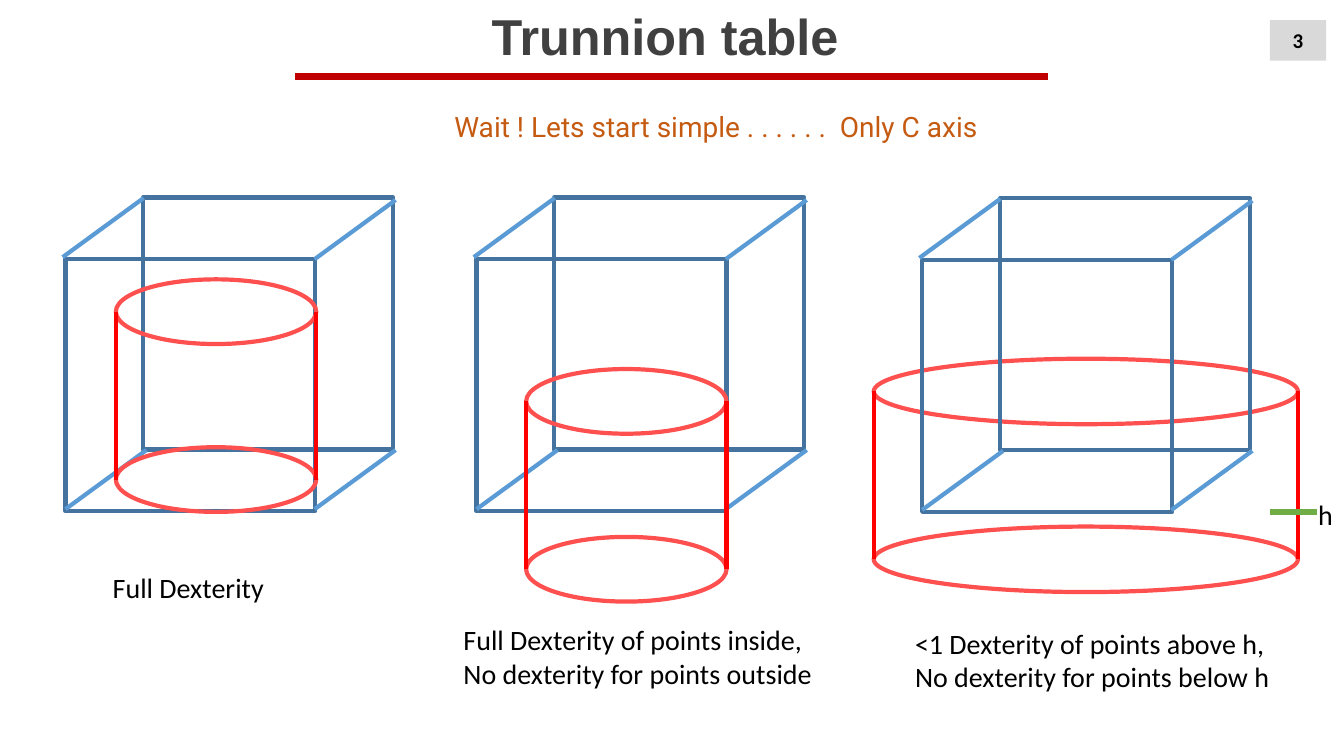
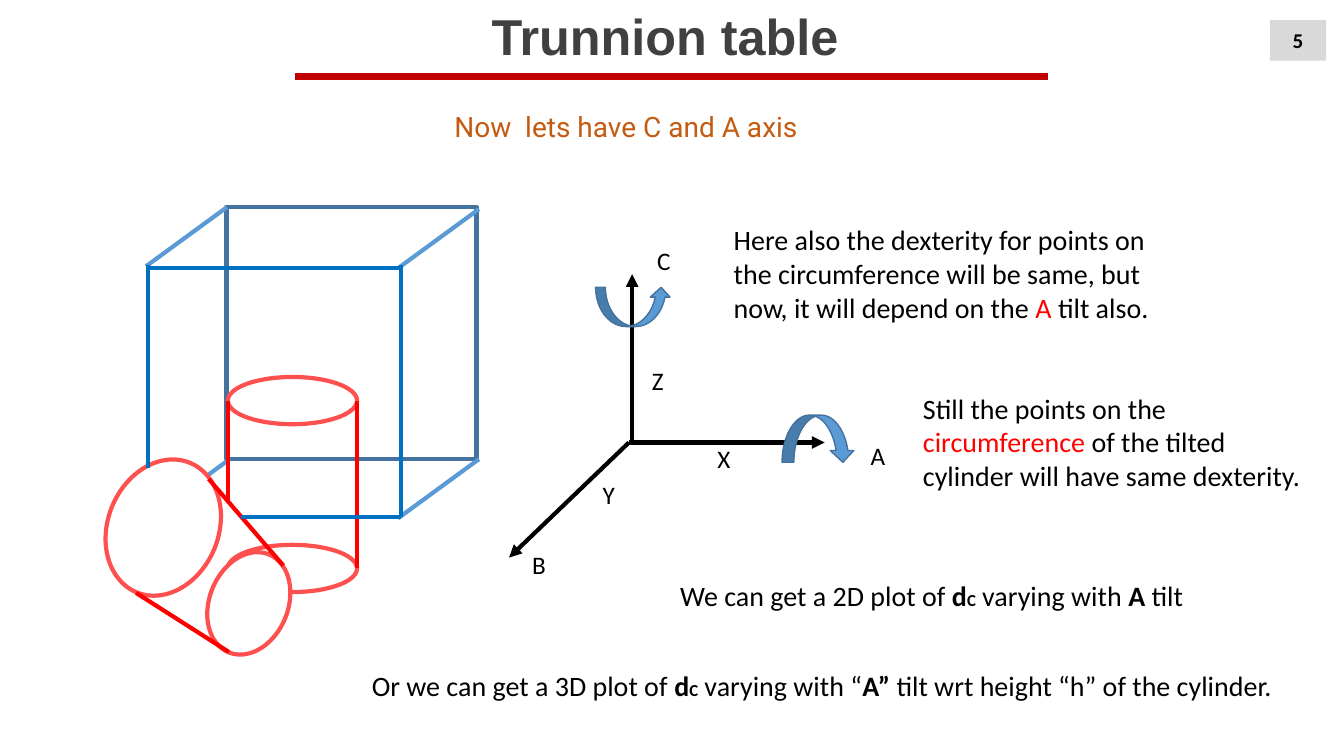
from pptx import Presentation
from pptx.dml.color import RGBColor
from pptx.enum.shapes import MSO_CONNECTOR, MSO_SHAPE as Preset
from pptx.enum.text import MSO_ANCHOR as Anchor, MSO_AUTO_SIZE as AutoSize, PP_ALIGN as Align
from pptx.oxml.ns import qn
from pptx.util import Cm, Pt
from lxml.etree import SubElement

COLORS = {
    "title": "404040", "rule": "C00000", "number": "D9D9D9", "subtitle": "C55A11",
    "box": "43739E", "depth": "5B9BD5", "front": "0070C0", "cap": "FF5050",
    "red": "FF0000", "height": "70AD47", "black": "000000", "white": "FFFFFF",
}
RGB = {role: RGBColor.from_string(value) for role, value in COLORS.items()}


def draw_line(slide, start, end, color, width=3, arrow=False):
    points = [Cm(value) for value in (*start, *end)]
    line = slide.shapes.add_connector(MSO_CONNECTOR.STRAIGHT, *points)
    line.line.color.rgb = RGB[color]
    line.line.width = Pt(width)
    properties = line._element.spPr
    if arrow:
        SubElement(properties.find(qn("a:ln")), qn("a:tailEnd"), type="triangle")
    SubElement(properties, qn("a:effectLst"))


def draw_shape(slide, preset, frame, color=None, fill=None, width=3, rotation=0):
    shape = slide.shapes.add_shape(preset, *[Cm(value) for value in frame])
    shape.shadow.inherit = False
    shape.rotation = rotation
    if fill:
        shape.fill.solid()
        shape.fill.fore_color.rgb = RGB[fill]
    else:
        shape.fill.background()
    if color:
        shape.line.color.rgb = RGB[color]
        shape.line.width = Pt(width)
    else:
        shape.line.fill.background()
    return shape


deck = Presentation()
deck.slide_width, deck.slide_height = Cm(33.87), Cm(19.05)

# Shared heading: rule, title, page number, subtitle
slides = []
for number, subtitle in [
    ("3", "Wait ! Lets start simple . . . . . .  Only C axis"),
    ("5", "Now  lets have C and A axis"),
]:
    slide = deck.slides.add_slide(deck.slide_layouts[5])
    slides.append(slide)
    draw_line(slide, (7.44, 1.93), (26.42, 1.93), "rule", 4.5)

    title = slide.shapes.title
    title.left, title.top, title.width, title.height = Cm(12.09), Cm(0), Cm(9.7), Cm(1.8)
    page = draw_shape(slide, Preset.RECTANGLE, (32, 0.51, 1.42, 1.02), fill="number")
    intro = slide.shapes.add_textbox(Cm(11.2), Cm(2.64), Cm(14), Cm(1.12))
    for holder, text, font, size, color, bold, align, anchor in [
        (title, "Trunnion table ", "Arial", 36, "title", True, Align.CENTER, Anchor.TOP),
        (page, number, "Calibri", 15, "black", True, Align.CENTER, Anchor.MIDDLE),
        (intro, subtitle, "Roboto", 20, "subtitle", False, Align.LEFT, Anchor.TOP),
    ]:
        frame = holder.text_frame
        frame.auto_size = AutoSize.NONE
        frame.word_wrap = holder is not title
        frame.vertical_anchor = anchor
        paragraph = frame.paragraphs[0]
        paragraph.alignment = align
        run = paragraph.add_run()
        run.text = text
        run.font.name, run.font.size, run.font.bold = font, Pt(size), bold
        run.font.color.rgb = RGB[color]
simple, tilted = slides

# Wireframe boxes: slide, front corner, closed front
BOX_W, BOX_H = 6.3, 6.35
# Upright cylinders: slide, corner, width, cap height, left side length
SIDE = 4.23
solids = [
    ("box", simple, 1.65, 6.53, True),
    ("cylinder", simple, 2.92, 7.04, 5.05, 1.63, SIDE),
    ("box", simple, 12.01, 6.53, True),
    ("cylinder", simple, 13.26, 9.3, 5.05, 1.63, SIDE),
    ("cylinder", simple, 22.02, 9.04, 10.69, 1.65, SIDE),
    ("box", simple, 23.24, 6.55, True),
    ("box", tilted, 3.75, 6.76, False),
    ("cylinder", tilted, 5.74, 9.5, 3.26, 1.19, 2.54),
]
for solid, slide, x, y, *details in solids:
    if solid == "box":
        draw_shape(slide, Preset.RECTANGLE, (x + 1.96, y - 1.55, BOX_W, BOX_H), "box")
        if details[0]:
            draw_shape(slide, Preset.RECTANGLE, (x, y, BOX_W, BOX_H), "box")
        for dx, dy in [(-0.07, -0.05), (6.28, 0), (0, 6.3), (6.28, 6.3)]:
            draw_line(slide, (x + dx, y + dy), (x + dx + 2.04, y + dy - 1.49), "depth")
    else:
        width, cap, left_side = details
        for top in (y, y + SIDE):
            draw_shape(slide, Preset.OVAL, (x, top, width, cap), "cap")
        for side_x, length in [(x, left_side), (x + width, SIDE)]:
            draw_line(slide, (side_x, y + cap / 2), (side_x, y + cap / 2 + length), "red")

# Height mark
draw_line(simple, (32, 12.9), (33.2, 12.9), "height", 4.5)

# Tilted cylinder
for cap_frame in [(2.72, 11.53, 2.79, 3.53), (5.28, 13.87, 1.98, 2.67)]:
    draw_shape(tilted, Preset.OVAL, cap_frame, "cap", "white", rotation=22.3)
for start, end in [((5.26, 12.07), (7.14, 14.25)), ((3.43, 14.94), (5.77, 16.43))]:
    draw_line(tilted, start, end, "red")

# Visible front edges of the box behind the tilted cylinder
for start, end in [
    ((10.11, 6.68), (10.11, 13.03)),
    ((3.73, 6.68), (3.73, 11.79)),
    ((6.07, 13.03), (10.11, 13.03)),
    ((3.73, 6.76), (10.11, 6.76)),
]:
    draw_line(tilted, start, end, "front")

# Axes with their rotations
for start, end in [
    ((15.85, 11.15), (20.78, 11.15)),
    ((15.93, 11.15), (15.93, 6.91)),
    ((15.85, 11.15), (12.83, 14.05)),
]:
    draw_line(tilted, start, end, "black", arrow=True)
for preset, frame in [
    (Preset.CURVED_DOWN_ARROW, (19.71, 10.46, 1.83, 1.19)),
    (Preset.CURVED_UP_ARROW, (15.01, 7.24, 1.9, 0.99)),
]:
    draw_shape(tilted, preset, frame, "box", "depth", 1)

# Captions: slide, left, top, width, height, runs of (text, style)
STYLES = {  # size, colour, bold
    "plain": (20, "black", False), "red": (20, "red", False), "bold": (20, "black", True),
    "small": (12, "black", True), "axis": (18, "black", False),
}
captions = [
    (simple, 2.59, 14.25, 4.88, 1.12, [("Full Dexterity", "plain")]),
    (simple, 11.43, 15.57, 9.78, 1.96,
     [("Full Dexterity of points inside, No dexterity for points outside", "plain")]),
    (simple, 22.81, 15.65, 9.78, 1.96,
     [("<1 Dexterity of points above h, No dexterity for points below h", "plain")]),
    (simple, 32.97, 12.42, 0.94, 1.12, [("h", "plain")]),
    (tilted, 18.24, 5.49, 11.96, 2.82,
     [("Here also the dexterity for points on the circumference will be same, "
       "but now, it will depend on the ", "plain"), ("A", "red"), (" tilt also.", "plain")]),
    (tilted, 23.01, 9.73, 10.26, 2.82,
     [("Still the points on the ", "plain"), ("circumference ", "red"),
      ("of the tilted cylinder will have same dexterity.", "plain")]),
    (tilted, 16.89, 14.45, 13.28, 1.12,
     [("We can get a 2D plot of ", "plain"), ("d", "bold"), ("C", "small"),
      (" varying with ", "plain"), ("A", "bold"), (" tilt", "plain")]),
    (tilted, 9.12, 16.71, 23.47, 1.12,
     [("Or we can get a 3D plot of ", "plain"), ("d", "bold"), ("C", "small"),
      (" varying with “", "plain"), ("A”", "bold"),
      (" tilt wrt height “h” of the cylinder.", "plain")]),
]
for letter, left, top in [
    ("C", 16.31, 6.05), ("A", 21.69, 10.97), ("X", 17.83, 11.05),
    ("Z", 16.18, 9.07), ("Y", 14.94, 11.96), ("B", 13.16, 13.72),
]:
    captions.append((tilted, left, top, 1.19, 1.02, [(letter, "axis")]))

for slide, left, top, width, height, runs in captions:
    caption = slide.shapes.add_textbox(Cm(left), Cm(top), Cm(width), Cm(height))
    caption.text_frame.word_wrap = True
    for text, style in runs:
        size, color, bold = STYLES[style]
        run = caption.text_frame.paragraphs[0].add_run()
        run.text = text
        run.font.name, run.font.size, run.font.bold = "Calibri", Pt(size), bold
        run.font.color.rgb = RGB[color]

deck.save("out.pptx")
